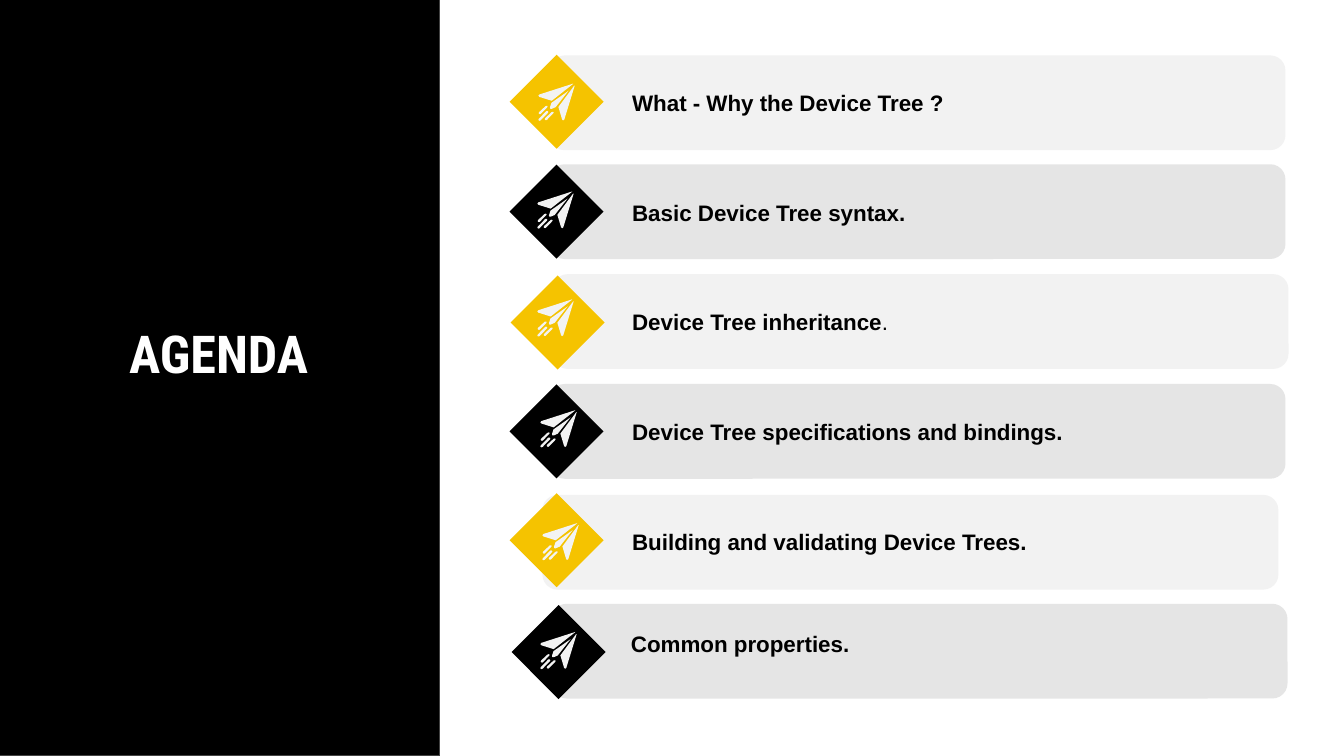
"""Build an agenda slide with six numbered-style cards and paper plane icons."""
from dataclasses import dataclass

from pptx import Presentation
from pptx import util as u
from pptx.dml import color
from pptx.enum import shapes, text

BLACK, WHITE, YELLOW = "000000", "FFFFFF", "F5C300"
LIGHT, GREY, PLANE = "F2F2F2", "E5E5E5", "F3F3F3"

Point = tuple[float, float]


@dataclass(frozen=True)
class Item:
    label: str
    card: Point
    diamond: Point
    icon: Point
    label_at: Point
    label_size: Point = (6.3, 0.57)
    inset: Point = (0.13, 0.07)
    tail: str = ""


ITEMS = [
    Item("What - Why the Device Tree ?", (5.45, 0.55), (5.19, 0.68), (5.34, 0.83), (6.14, 0.73)),
    Item("Basic Device Tree syntax.", (5.45, 1.63), (5.19, 1.77), (5.33, 1.9), (6.14, 1.82)),
    Item("Device Tree inheritance", (5.48, 2.72), (5.2, 2.87), (5.33, 2.97), (6.14, 2.91), tail="."),
    Item("Device Tree specifications and bindings.", (5.45, 3.81), (5.19, 3.95), (5.36, 4.07), (6.14, 4)),
    Item("Building and validating Device Trees.", (5.38, 4.91), (5.19, 5.03), (5.38, 5.19), (6.14, 5.09)),
    Item("Common properties.", (5.47, 5.99), (5.21, 6.14), (5.36, 6.27), (6.16, 6.2), (5.88, 0.37), (0.1, 0.05)),
]

MIL = 914.4
STREAK = [(82, 220), (72, 222), (8, 282), (3, 293), (8, 300),
          (17, 303), (24, 300), (88, 235), (92, 226), (88, 221)]
PLANE_PARTS = [
    [(345, 0), (10, 108), (0, 120), (10, 132), (132, 170), (345, 3)],
    [(300, 70), (130, 190), (115, 235), (117, 247), (125, 250), (132, 250), (172, 233)],
    [(360, 20), (355, 20), (198, 232), (235, 355), (245, 365), (257, 357)],
    STREAK,
    [(x + 60, y + 60) for x, y in STREAK],
    [(85, 270), (76, 274), (3, 350), (0, 359), (5, 366),
     (13, 368), (22, 364), (96, 288), (98, 280), (94, 273)],
]


def rgb(value: str) -> color.RGBColor:
    """Turn a hex string into a colour."""
    return color.RGBColor.from_string(value)


def paint(sp, fill: str) -> None:
    """Give a shape a flat fill with no line or shadow."""
    sp.shadow.inherit = False
    sp.fill.solid()
    sp.fill.fore_color.rgb = rgb(fill)
    sp.line.fill.background()


def add_block(s, kind, at: Point, size: Point, fill: str):
    """Add a plain preset shape."""
    sp = s.shapes.add_shape(kind, *map(u.Inches, at + size))
    paint(sp, fill)
    return sp


def style_run(r, size: float, font: str, fill: str, bold: bool = True) -> None:
    """Set the font of a run."""
    r.font.size = u.Pt(size)
    r.font.name = font
    r.font.bold = bold
    r.font.color.rgb = rgb(fill)


def add_label(s, label: str, at: Point, size: Point, inset: Point):
    """Add a middle-anchored text box and return its paragraph."""
    tf = s.shapes.add_textbox(*map(u.Inches, at + size)).text_frame
    tf.word_wrap = True
    tf.vertical_anchor = text.MSO_ANCHOR.MIDDLE
    tf.margin_left = tf.margin_right = u.Inches(inset[0])
    tf.margin_top = tf.margin_bottom = u.Inches(inset[1])
    tf.text = label
    return tf.paragraphs[0]


def add_plane(s, at: Point) -> None:
    """Draw a paper plane as a group of outlines."""
    group = s.shapes.add_group_shape()
    for start, *rest in PLANE_PARTS:
        builder = group.shapes.build_freeform(*start, scale=MIL)
        builder.add_line_segments(rest, close=True)
        paint(builder.convert_to_shape(*map(u.Inches, at)), PLANE)


def main() -> None:
    """Build and save the slide."""
    prs = Presentation()
    prs.slide_width, prs.slide_height = u.Inches(13.33), u.Inches(7.5)
    s = prs.slides.add_slide(prs.slide_layouts[6])

    panel = add_block(s, shapes.MSO_SHAPE.RECTANGLE, (0, 0), (4.36, 7.5), BLACK)
    panel.line.color.rgb = rgb("434343")
    panel.line.width = u.Pt(0.75)
    p = add_label(s, "AGENDA", (0.52, 1.12), (3.3, 4.84), (0.1, 0.05))
    p.alignment = text.PP_ALIGN.CENTER
    p.line_spacing = 0.9
    style_run(p.runs[0], 37.3, "Roboto Condensed", WHITE)

    for i, item in enumerate(ITEMS):
        card = add_block(s, shapes.MSO_SHAPE.ROUNDED_RECTANGLE, item.card, (7.3, 0.94), (LIGHT, GREY)[i % 2])
        card.adjustments[0] = 0.16
    for i, item in enumerate(ITEMS):
        diamond = add_block(s, shapes.MSO_SHAPE.RECTANGLE, item.diamond, (0.66, 0.66), (YELLOW, BLACK)[i % 2])
        diamond.rotation = 45
        p = add_label(s, item.label, item.label_at, item.label_size, item.inset)
        style_run(p.runs[0], 16, "Arial", BLACK)
        if item.tail:
            r = p.add_run()
            r.text = item.tail
            style_run(r, 16, "Arial", BLACK, bold=False)
        add_plane(s, item.icon)

    prs.save("out.pptx")


if __name__ == "__main__":
    main()
